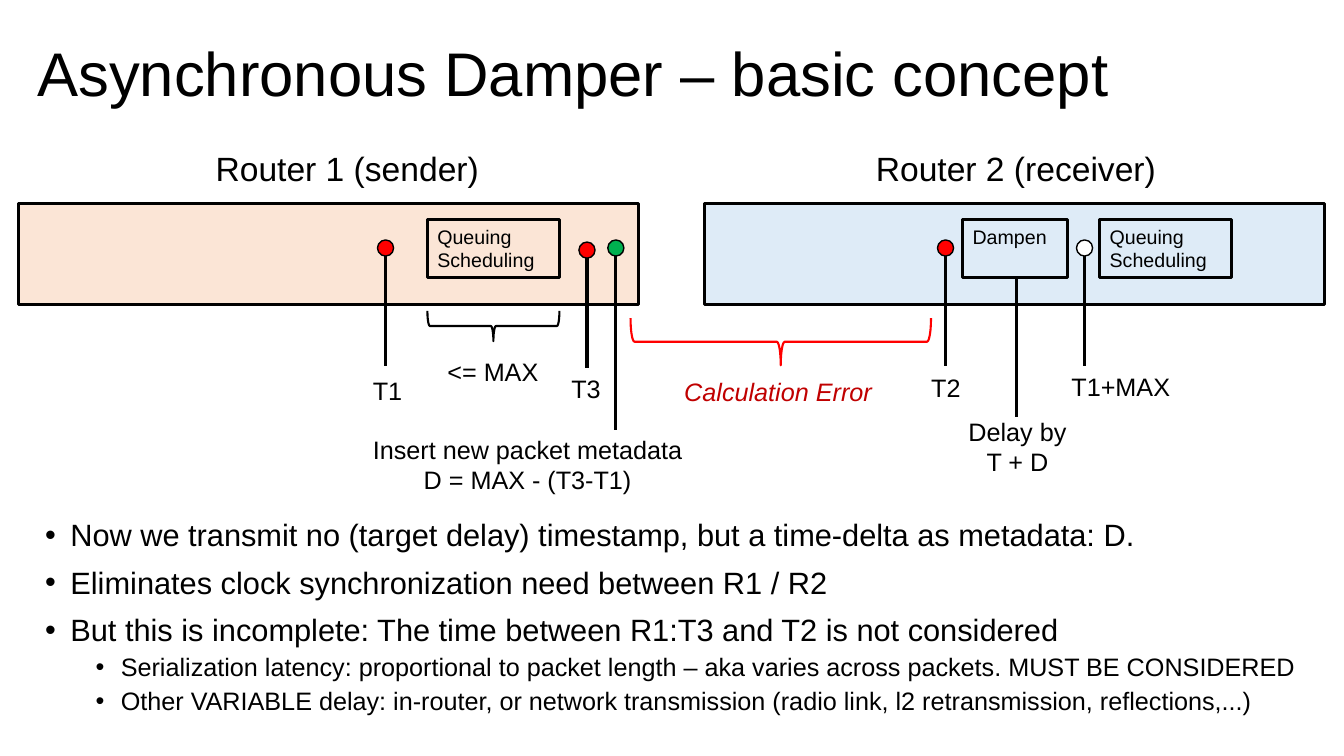
"""Build the slide on the asynchronous damper between two routers."""
from lxml import etree
from pptx import Presentation
from pptx.dml.color import RGBColor
from pptx.enum.shapes import MSO_CONNECTOR, MSO_SHAPE
from pptx.enum.text import MSO_ANCHOR, MSO_AUTO_SIZE, PP_ALIGN
from pptx.oxml.ns import qn
from pptx.util import Pt

RECTANGLE, OVAL, BRACE = MSO_SHAPE.RECTANGLE, MSO_SHAPE.OVAL, MSO_SHAPE.LEFT_BRACE
STRAIGHT = MSO_CONNECTOR.STRAIGHT
LEFT, CENTER = PP_ALIGN.LEFT, PP_ALIGN.CENTER
TOP, MIDDLE = MSO_ANCHOR.TOP, MSO_ANCHOR.MIDDLE
NO_FIT = MSO_AUTO_SIZE.NONE

FONT = "Arial"
DOT = 11.5
COLORS = {
    "black": "000000", "white": "FFFFFF", "red": "FF0000", "green": "00B050",
    "dark red": "C00000", "sender": "FBE5D6", "receiver": "DEEBF7",
}


def rgb(name):
    """Return the named colour."""
    return RGBColor.from_string(COLORS[name])


def place(shape, box):
    """Move and size a shape to a box in points."""
    shape.left, shape.top, shape.width, shape.height = (Pt(value) for value in box)


def format_paragraph(paragraph, size, color="black", italic=None, align=LEFT):
    """Set the alignment of a paragraph and the font of its runs."""
    paragraph.alignment = align
    for run in paragraph.runs:
        run.font.name, run.font.size = FONT, Pt(size)
        run.font.color.rgb, run.font.italic = rgb(color), italic


def add_text(slide, box, text, size=18, **style):
    """Add a text box that does not wrap."""
    shape = slide.shapes.add_textbox(*(Pt(value) for value in box))
    shape.text_frame.word_wrap = False
    shape.text_frame.text = text
    for paragraph in shape.text_frame.paragraphs:
        format_paragraph(paragraph, size, **style)


def add_outline(slide, kind, box, fill=None, line="black", weight=2.25):
    """Add a preset shape with an outline and an optional fill."""
    shape = slide.shapes.add_shape(kind, *(Pt(value) for value in box))
    shape.shadow.inherit = False
    if fill:
        shape.fill.solid()
        shape.fill.fore_color.rgb = rgb(fill)
    else:
        shape.fill.background()
    shape.line.color.rgb = rgb(line)
    shape.line.width = Pt(weight)
    return shape


def add_brace(slide, box, color):
    """Add a brace that opens upwards and spans the box."""
    left, top, width, height = box
    shift = (width - height) / 2
    brace = add_outline(slide, BRACE, (left + shift, top - shift, height, width),
                        line=color, weight=1.5)
    brace.rotation = 270


def add_stem(slide, x, top, bottom):
    """Add a vertical line."""
    stem = slide.shapes.add_connector(STRAIGHT, Pt(x), Pt(top), Pt(x), Pt(bottom))
    stem.line.color.rgb = rgb("black")
    stem.line.width = Pt(2.25)
    etree.SubElement(stem._element.spPr, qn("a:effectLst"))


def add_probe(slide, x, top, bottom, color):
    """Add a measuring point with a stem below it."""
    add_outline(slide, OVAL, (x - DOT / 2, top, DOT, DOT), color, weight=1)
    add_stem(slide, x, top + DOT, bottom)


def add_stage(slide, box, text):
    """Add a processing stage inside a router."""
    frame = add_outline(slide, RECTANGLE, box).text_frame
    frame.word_wrap, frame.vertical_anchor = True, TOP
    frame.text = text
    for paragraph in frame.paragraphs:
        format_paragraph(paragraph, 14)


def add_router(slide, box, fill, heading, stages, probes, labels):
    """Add a router with its heading, stages, probes and labels."""
    left, top, width, height = box
    add_outline(slide, RECTANGLE, box, fill)
    offset, heading_width, text = heading
    add_text(slide, (left + offset, top - 43.3, heading_width, 36), text, 24)
    for x, stage_width, text in stages:
        add_stage(slide, (left + x, top + 11.5, stage_width, 41), text)
    for x, y, bottom, color in probes:
        add_probe(slide, left + x, top + y, top + bottom, color)
    for x, y, label_width, text, align in labels:
        label_height = 50.4 if "\n" in text else 29
        add_text(slide, (left + x, top + y, label_width, label_height), text, align=align)


def add_sender(slide, box):
    """Add router 1 with the brace under its queue."""
    left, top, width, height = box
    add_router(
        slide, box, "sender", (133.9, 202.3, "Router 1 (sender)"),
        [(292.3, 94.3, "Queuing\nScheduling")],
        [(262.4, 25.9, 116, "red"), (406.3, 27.4, 117.4, "red"),
         (426.9, 25.9, 162, "green")],
        [(246.2, 118.7, 35.3, "T1", LEFT), (388, 117.3, 35.3, "T3", LEFT),
         (297, 105.1, 84.2, "<= MAX", CENTER),
         (246.2, 161.2, 235.4, "Insert new packet metadata\nD = MAX - (T3-T1)", CENTER)])
    add_brace(slide, (left + 292.3, top + 76.6, 94.3, 21.6), "black")


def add_receiver(slide, box):
    """Add router 2 with the stem under its damper."""
    left, top, width, height = box
    add_router(
        slide, box, "receiver", (115.2, 214.6, "Router 2 (receiver)"),
        [(184.3, 74.9, "Dampen"), (282.2, 94.3, "Queuing\nScheduling")],
        [(172.1, 25.9, 116, "red"), (271.4, 25.9, 116, "white")],
        [(154.8, 116.6, 35.3, "T2", LEFT), (254.9, 115.9, 85, "T1+MAX", LEFT),
         (181.4, 148.3, 84.2, "Delay by\nT + D", CENTER)])
    add_stem(slide, left + 222.5, top + 52.5, top + 152.6)


def add_link_error(slide, box):
    """Add the brace between the routers with its label."""
    left, top, width, height = box
    add_brace(slide, box, "red")
    add_text(slide, (left + 31.3, top + 37.8, 148.3, 29), "Calculation Error",
             color="dark red", italic=True)


def add_title(slide, box, text):
    """Fill and format the title placeholder."""
    title = slide.shapes.title
    place(title, box)
    frame = title.text_frame
    frame.text = text
    frame.auto_size, frame.vertical_anchor = NO_FIT, MIDDLE
    frame.paragraphs[0].line_spacing = 0.9
    format_paragraph(frame.paragraphs[0], 44)


def add_bullets(slide, box, items):
    """Add the bulleted conclusions from pairs of level and text."""
    frame = slide.shapes.add_textbox(*(Pt(value) for value in box)).text_frame
    frame.word_wrap = True
    frame.text = "\n".join(text for level, text in items)
    for paragraph, (level, text) in zip(frame.paragraphs, items):
        paragraph.level = level
        paragraph.line_spacing = 0.9
        paragraph.space_before = Pt((10, 5)[level])
        format_paragraph(paragraph, (22, 18)[level])
        properties = paragraph._p.get_or_add_pPr()
        properties.set("marL", str(Pt(18 + 36 * level)))
        properties.set("indent", str(Pt(-18)))
        etree.SubElement(properties, qn("a:buFont"), typeface=FONT)
        etree.SubElement(properties, qn("a:buChar"), char="•")


def main():
    """Build and save the presentation."""
    presentation = Presentation()
    presentation.slide_width, presentation.slide_height = Pt(960), Pt(540)
    slide = presentation.slides.add_slide(presentation.slide_layouts[5])
    add_title(slide, (19.4, 13, 874.8, 83.5), "Asynchronous Damper – basic concept")
    add_sender(slide, (13, 145.5, 442.8, 72))
    add_receiver(slide, (503.3, 145.5, 442.8, 72))
    add_link_error(slide, (450.4, 227.2, 214.6, 33.8))
    add_bullets(slide, (25.2, 368, 908.6, 157.7), [
        (0, "Now we transmit no (target delay) timestamp, but a time-delta as metadata: D."),
        (0, "Eliminates clock synchronization need between R1 / R2"),
        (0, "But this is incomplete: The time between R1:T3 and T2 is not considered"),
        (1, "Serialization latency: proportional to packet length – aka varies across "
            "packets. MUST BE CONSIDERED"),
        (1, "Other VARIABLE delay: in-router, or network transmission (radio link, "
            "l2 retransmission, reflections,...)"),
    ])
    presentation.save("out.pptx")


main()
